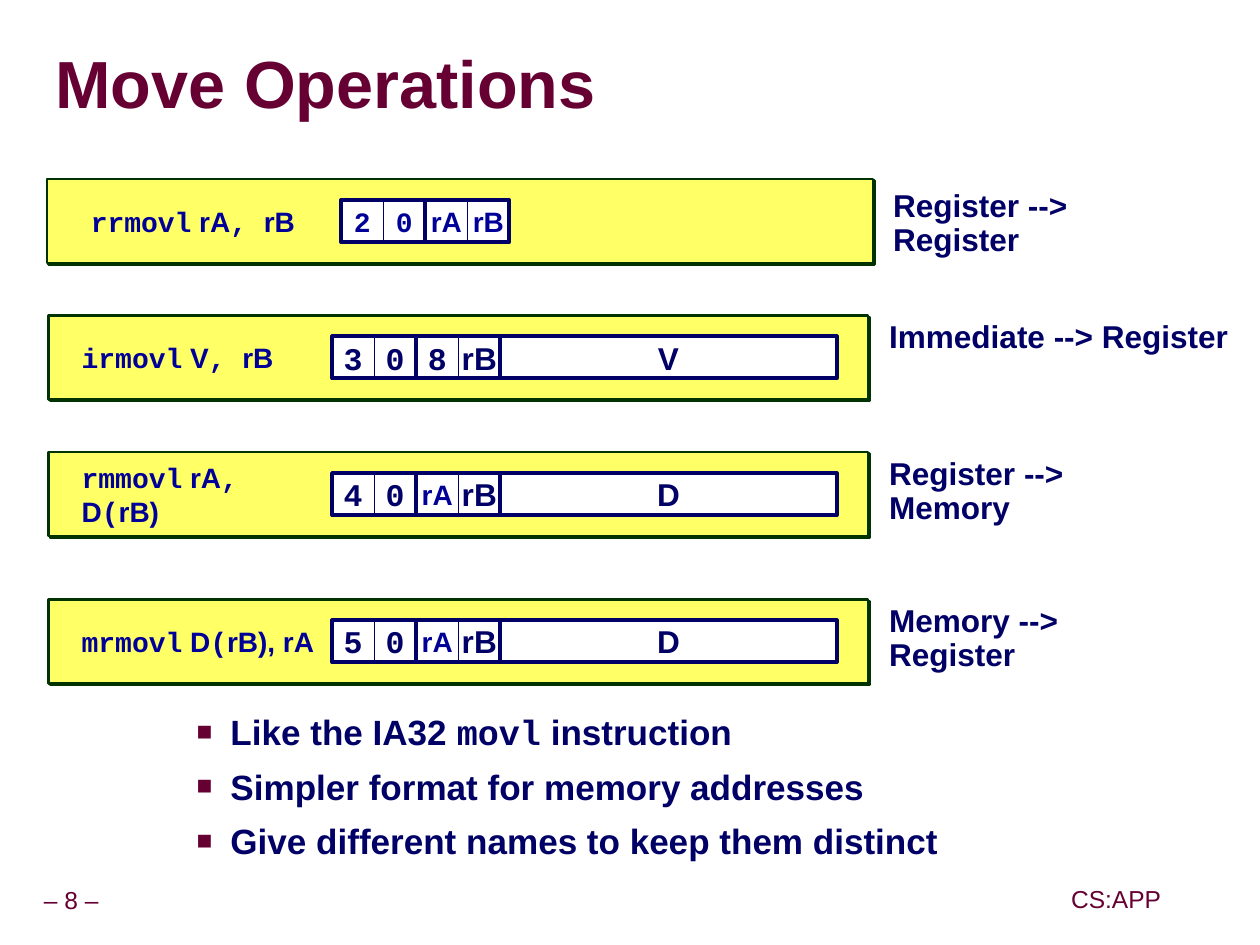
import lxml.etree
import pptx
import pptx.dml.color
import pptx.enum.shapes
import pptx.enum.text
import pptx.oxml
import pptx.oxml.ns
import pptx.util

Pt = pptx.util.Pt
RGBColor = pptx.dml.color.RGBColor
ALIGN = pptx.enum.text.PP_ALIGN
ANCHOR = pptx.enum.text.MSO_ANCHOR
RECTANGLE = pptx.enum.shapes.MSO_SHAPE.RECTANGLE
qn = pptx.oxml.ns.qn

MAROON = RGBColor(0x66, 0x00, 0x33)
NAVY = RGBColor(0x00, 0x00, 0x66)
BLUE = RGBColor(0x00, 0x00, 0x99)
GREEN = RGBColor(0x00, 0x33, 0x00)
YELLOW = RGBColor(0xFF, 0xFF, 0x66)
WHITE = RGBColor(0xFF, 0xFF, 0xFF)
GREY = RGBColor(0x80, 0x80, 0x80)
SANS, MONO = "Arial", "Courier New"

CELL = 24
SHADOW = (
    '<a:outerShdw xmlns:a="http://schemas.openxmlformats.org/drawingml/2006/main" '
    'blurRad="0" dist="{dist}" dir="2700000" algn="ctr" rotWithShape="0">'
    '<a:srgbClr val="{color}"/></a:outerShdw>'
)


def write(box, paragraphs, size, color, bold=True, inset=(7.2, 3.6), wrap=False,
          anchor=ANCHOR.MIDDLE, **layout):
    frame = box.text_frame
    side, edge = inset
    settings = {
        "margin_left": Pt(side), "margin_right": Pt(side),
        "margin_top": Pt(edge), "margin_bottom": Pt(edge),
        "word_wrap": wrap, "vertical_anchor": anchor,
    }
    for name, value in settings.items():
        setattr(frame, name, value)
    for number, spans in enumerate(paragraphs):
        para = frame.add_paragraph() if number else frame.paragraphs[0]
        for name, value in layout.items():
            setattr(para, name, value)
        for text, font in spans:
            span = para.add_run()
            span.text = text
            span.font.color.rgb = color
            for name, value in {"name": font, "size": Pt(size), "bold": bold}.items():
                setattr(span.font, name, value)
    return frame


def rectangle(shapes, left, top, width, height, fill, line, weight):
    box = shapes.add_shape(RECTANGLE, Pt(left), Pt(top), Pt(width), Pt(height))
    box.shadow.inherit = False
    if fill is None:
        box.fill.background()
    else:
        box.fill.solid()
        box.fill.fore_color.rgb = fill
    box.line.color.rgb = line
    box.line.width = Pt(weight)
    return box


deck = pptx.Presentation()
deck.slide_width, deck.slide_height = Pt(719.28), Pt(539.28)
page = deck.slides.add_slide(deck.slide_layouts[6])

for text, left, top, width in (("– 8 –", -6.5, 503.3, 94.3), ("CS:APP", 607.7, 502.6, 59)):
    footer = page.shapes.add_textbox(Pt(left), Pt(top), Pt(width), Pt(22.3))
    write(footer, [[(text, SANS)]], 14, MAROON, bold=False, inset=(3.6, 3.6),
          alignment=ALIGN.CENTER, line_spacing=0.9)

title = page.shapes.add_textbox(Pt(31.7), Pt(19.4), Pt(685.4), Pt(61.2))
frame = write(title, [[("Move Operations", SANS)]], 38, MAROON, inset=(0, 0), wrap=True,
              line_spacing=0.87)
properties = frame.paragraphs[0].runs[0].font._element
effects = pptx.oxml.parse_xml(
    '<a:effectLst xmlns:a="http://schemas.openxmlformats.org/drawingml/2006/main"/>')
effects.append(pptx.oxml.parse_xml(SHADOW.format(dist=Pt(3), color=GREY)))
properties.find(qn("a:solidFill")).addnext(effects)

notes = page.shapes.add_textbox(Pt(66.2), Pt(401.8), Pt(606.2), Pt(122.4))
frame = write(notes, [
    [("Like the IA32 ", SANS), ("movl", MONO), (" instruction", SANS)],
    [("Simpler format for memory addresses", SANS)],
    [("Give different names to keep them distinct", SANS)],
], 20, NAVY, wrap=True, anchor=ANCHOR.TOP)
for number, para in enumerate(frame.paragraphs):
    if number:
        para.space_before = Pt(7.2)
    layout = para._p.get_or_add_pPr()
    layout.set("marL", str(Pt(58.3)))
    layout.set("indent", str(Pt(-19.4)))
    color = lxml.etree.SubElement(layout, qn("a:buClr"))
    lxml.etree.SubElement(color, qn("a:srgbClr"), val=str(MAROON))
    lxml.etree.SubElement(layout, qn("a:buSzPct"), val="75000")
    lxml.etree.SubElement(layout, qn("a:buFont"), typeface=SANS)
    lxml.etree.SubElement(layout, qn("a:buChar"), char="■")

INSTRUCTIONS = [
    {"panel": (26.8, 102.2, 471.6), "code_left": 44.8, "label": (506.2, 105.1, 183.6),
     "code": [("rrmovl", MONO), (" rA", SANS), (", ", MONO), ("rB", SANS)],
     "cells": ["2", "0", "rA", "rB"], "value": None, "small": {"2", "0", "rA", "rB"},
     "meaning": "Register --> Register"},
    {"panel": (27.6, 180, 468), "code_left": 39.6, "label": (504, 180, 200.9),
     "code": [("irmovl", MONO), (" V", SANS), (", ", MONO), ("rB", SANS)],
     "cells": ["3", "0", "8", "rB"], "value": "V", "small": set(),
     "meaning": "Immediate --> Register"},
    {"panel": (27.6, 258, 468), "code_left": 39.6, "label": (504, 258, 180.7),
     "code": [("rmmovl", MONO), (" rA", SANS), (",", MONO), (" D", SANS), ("(", MONO),
              ("rB)", SANS)],
     "cells": ["4", "0", "rA", "rB"], "value": "D", "small": {"rA"},
     "meaning": "Register --> Memory"},
    {"panel": (27.6, 342, 468), "code_left": 39.6, "label": (504, 342, 180.7),
     "code": [("mrmovl", MONO), (" D", SANS), ("(", MONO), ("rB), rA", SANS)],
     "cells": ["5", "0", "rA", "rB"], "value": "D", "small": {"rA"},
     "meaning": "Memory --> Register"},
]

for instruction in INSTRUCTIONS:
    left, top, width = instruction["panel"]
    panel = rectangle(page.shapes, left, top, width, 48, YELLOW, GREEN, 1.5)
    panel._element.spPr.find(qn("a:effectLst")).append(
        pptx.oxml.parse_xml(SHADOW.format(dist=Pt(1.4), color=GREEN)))

    label_left, label_top, label_width = instruction["label"]
    label = page.shapes.add_textbox(Pt(label_left), Pt(label_top), Pt(label_width), Pt(26.6))
    write(label, [[(instruction["meaning"], SANS)]], 18, NAVY, inset=(3.6, 3.6),
          anchor=ANCHOR.TOP, line_spacing=0.9)

    encoding = page.shapes.add_group_shape().shapes
    row_top = top + 12
    code_left = instruction["code_left"]
    code = encoding.add_textbox(Pt(code_left), Pt(row_top), Pt(150), Pt(CELL))
    write(code, [instruction["code"]], 16, BLUE)

    cells_left = code_left + 150
    for number, text in enumerate(instruction["cells"]):
        cell_left = cells_left + number * CELL
        cell = rectangle(encoding, cell_left, row_top, CELL, CELL, WHITE, NAVY, 0.5)
        size, color = (16, BLUE) if text in instruction["small"] else (18, NAVY)
        write(cell, [[(text, MONO if text.isdigit() else SANS)]], size, color,
              alignment=ALIGN.CENTER)
        if number % 2:
            rectangle(encoding, cell_left - CELL, row_top, 2 * CELL, CELL, None, NAVY, 2.25)
    if instruction["value"]:
        value = rectangle(encoding, cells_left + 4 * CELL, row_top, 8 * CELL, CELL,
                          WHITE, NAVY, 2.25)
        write(value, [[(instruction["value"], SANS)]], 18, NAVY, alignment=ALIGN.CENTER)

deck.save("out.pptx")
